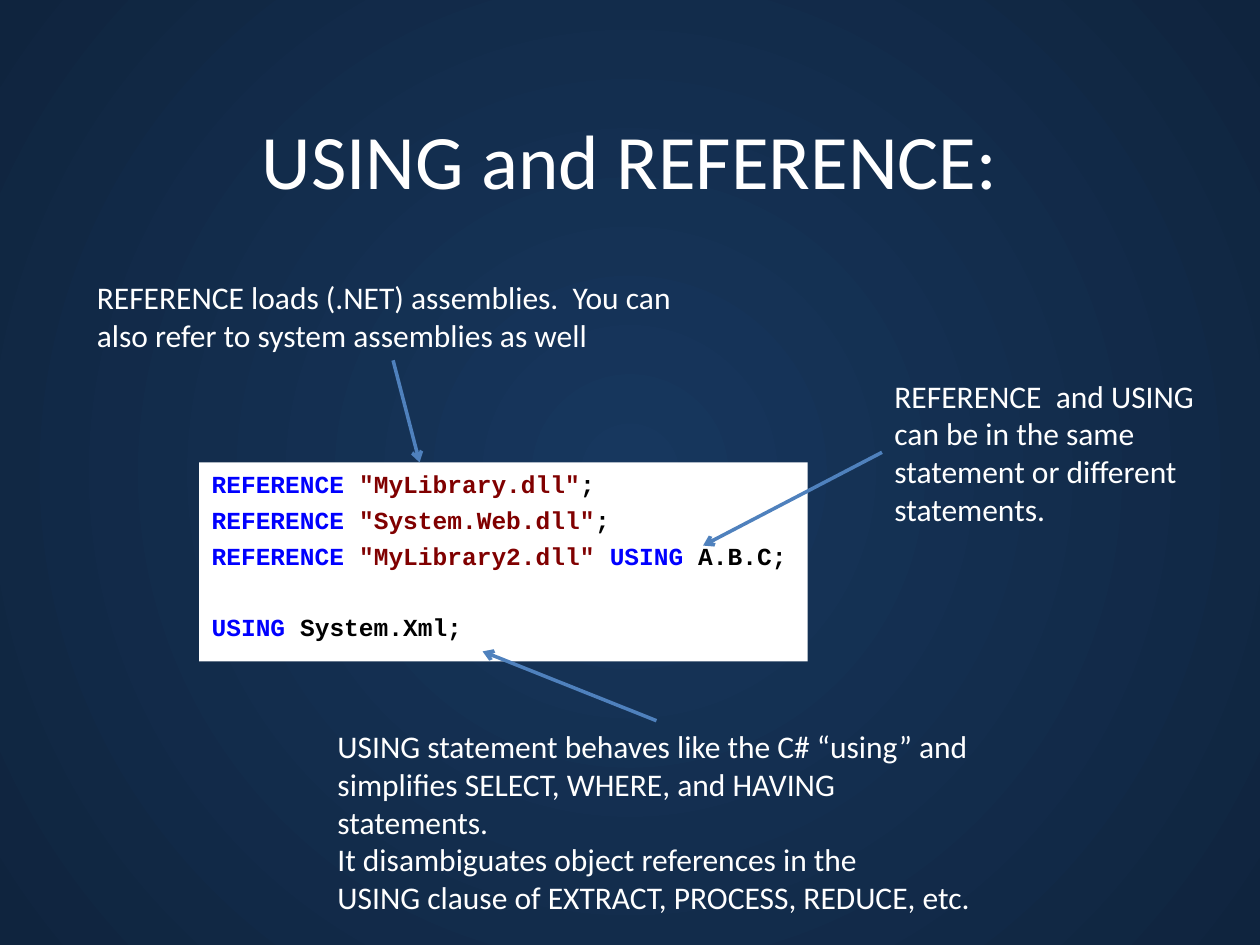
from lxml import etree
from pptx import Presentation
from pptx.dml.color import RGBColor
from pptx.enum.shapes import MSO_CONNECTOR
from pptx.enum.text import MSO_ANCHOR, MSO_AUTO_SIZE, PP_ALIGN
from pptx.oxml.ns import qn
from pptx.util import Inches, Pt

STRAIGHT = MSO_CONNECTOR.STRAIGHT
MIDDLE, TOP = MSO_ANCHOR.MIDDLE, MSO_ANCHOR.TOP
CENTER, LEFT = PP_ALIGN.CENTER, PP_ALIGN.LEFT
NO_FIT, GROW = MSO_AUTO_SIZE.NONE, MSO_AUTO_SIZE.SHAPE_TO_FIT_TEXT

WHITE, BLACK = "FFFFFF", "000000"
KEYWORD, STRING = "0000FF", "800000"
ARROW = "4F81BD"

# Each code line: its coloured pieces and the space before it in points
CODE = [
    (0, [("REFERENCE ", KEYWORD), ('"MyLibrary.dll"', STRING), (";", BLACK)]),
    (3.85, [("REFERENCE ", KEYWORD), ('"System.Web.dll"', STRING), (";", BLACK)]),
    (3.85, [("REFERENCE ", KEYWORD), ('"MyLibrary2.dll" ', STRING),
            ("USING ", KEYWORD), ("A.B.C;", BLACK)]),
    (23.5, [("USING ", KEYWORD), ("System.Xml;", BLACK)]),
]

NOTES = [
    ((0.67, 2.16, 4.92, 0.71),
     ["REFERENCE loads (.NET) assemblies.  You can also refer to system assemblies as well"]),
    ((2.58, 5.72, 5.25, 1.62),
     ["USING statement behaves like the C# “using” and simplifies SELECT, WHERE, "
      "and HAVING statements.",
      "It disambiguates object references in the",
      "USING clause of EXTRACT, PROCESS, REDUCE, etc."]),
    ((7, 2.94, 2.92, 1.31),
     ["REFERENCE  and USING can be in the same statement or different statements."]),
]

ARROWS = [
    ((3.12, 2.86), (3.33, 3.67)),
    ((5.21, 5.72), (3.83, 5.17)),
    ((7, 3.59), (5.58, 4.33)),
]


def rgb(color):
    return RGBColor.from_string(color)


def add_text(p, text, size=18, font="Calibri", color=WHITE, bold=False):
    r = p.add_run()
    r.text = text
    r.font.size, r.font.name, r.font.bold = Pt(size), font, bold
    r.font.color.rgb = rgb(color)


def place(s, box):
    s.left, s.top, s.width, s.height = (Inches(v) for v in box)


def set_background(slide, inner, outer):
    fill = slide.background.fill
    fill.gradient()
    for stop, color in zip(fill.gradient_stops, (inner, outer)):
        stop.color.rgb = rgb(color)
    # Radial gradient from the centre
    grad = slide.element.find(".//" + qn("a:gradFill"))
    grad.remove(grad.find(qn("a:lin")))
    radial = etree.SubElement(grad, qn("a:path"), path="circle")
    etree.SubElement(radial, qn("a:fillToRect"), l="50000", t="50000", r="50000", b="50000")


def add_title(slide, box, text):
    s = slide.shapes.title
    place(s, box)
    tf = s.text_frame
    tf.vertical_anchor, tf.auto_size = MIDDLE, NO_FIT
    tf.paragraphs[0].alignment = CENTER
    add_text(tf.paragraphs[0], text, size=44)


def add_code(slide, box, lines):
    s = slide.placeholders[1]
    place(s, box)
    s.fill.solid()
    s.fill.fore_color.rgb = rgb(WHITE)
    tf = s.text_frame
    tf.word_wrap, tf.vertical_anchor, tf.auto_size = True, TOP, NO_FIT
    for i, (space, pieces) in enumerate(lines):
        p = tf.add_paragraph() if i else tf.paragraphs[0]
        pPr = p._p.get_or_add_pPr()
        pPr.set("marL", str(Inches(0.38)))
        pPr.set("indent", str(Inches(-0.38)))
        etree.SubElement(pPr, qn("a:buNone"))
        p.alignment, p.space_before = LEFT, Pt(space)
        for text, color in pieces:
            add_text(p, text, size=14, font="Courier New", color=color, bold=True)


def add_note(slide, box, lines):
    s = slide.shapes.add_textbox(*(Inches(v) for v in box))
    tf = s.text_frame
    tf.word_wrap, tf.auto_size = True, GROW
    p = tf.paragraphs[0]
    for i, line in enumerate(lines):
        if i:
            p.add_line_break()
        add_text(p, line)


def add_arrow(slide, start, end):
    s = slide.shapes.add_connector(STRAIGHT, *(Inches(v) for v in start + end))
    s.line.color.rgb = rgb(ARROW)
    s.line.width = Pt(2)
    etree.SubElement(s.line._get_or_add_ln(), qn("a:tailEnd"), type="arrow")
    etree.SubElement(s._element.spPr, qn("a:effectLst"))


def main():
    prs = Presentation()
    prs.slide_width, prs.slide_height = Inches(10), Inches(7.5)
    slide = prs.slides.add_slide(prs.slide_layouts[1])
    set_background(slide, "17375E", "0F243E")
    add_title(slide, (0.5, 0.77, 9, 0.98), "USING and REFERENCE:")
    add_code(slide, (1.58, 3.67, 4.83, 1.58), CODE)
    # Explanations and the arrows to the code
    for box, lines in NOTES:
        add_note(slide, box, lines)
    for start, end in ARROWS:
        add_arrow(slide, start, end)
    prs.save("out.pptx")


if __name__ == "__main__":
    main()
